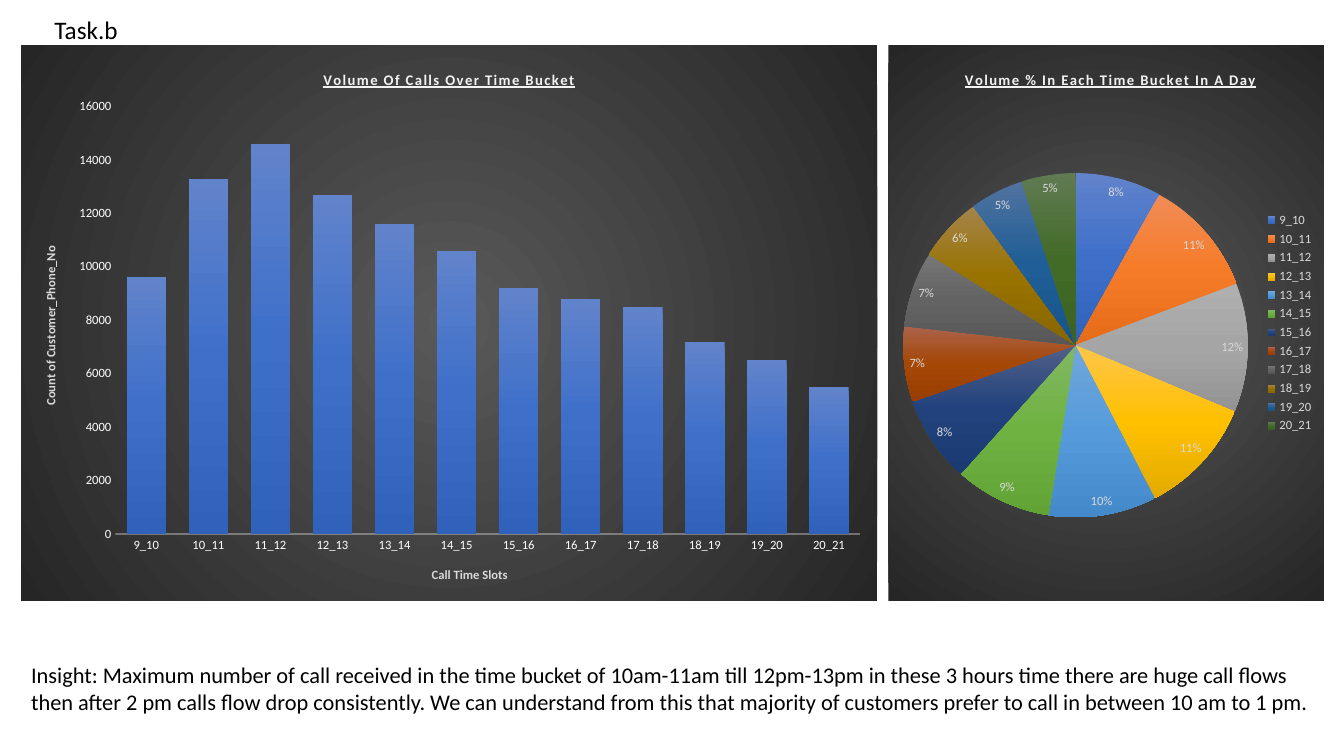
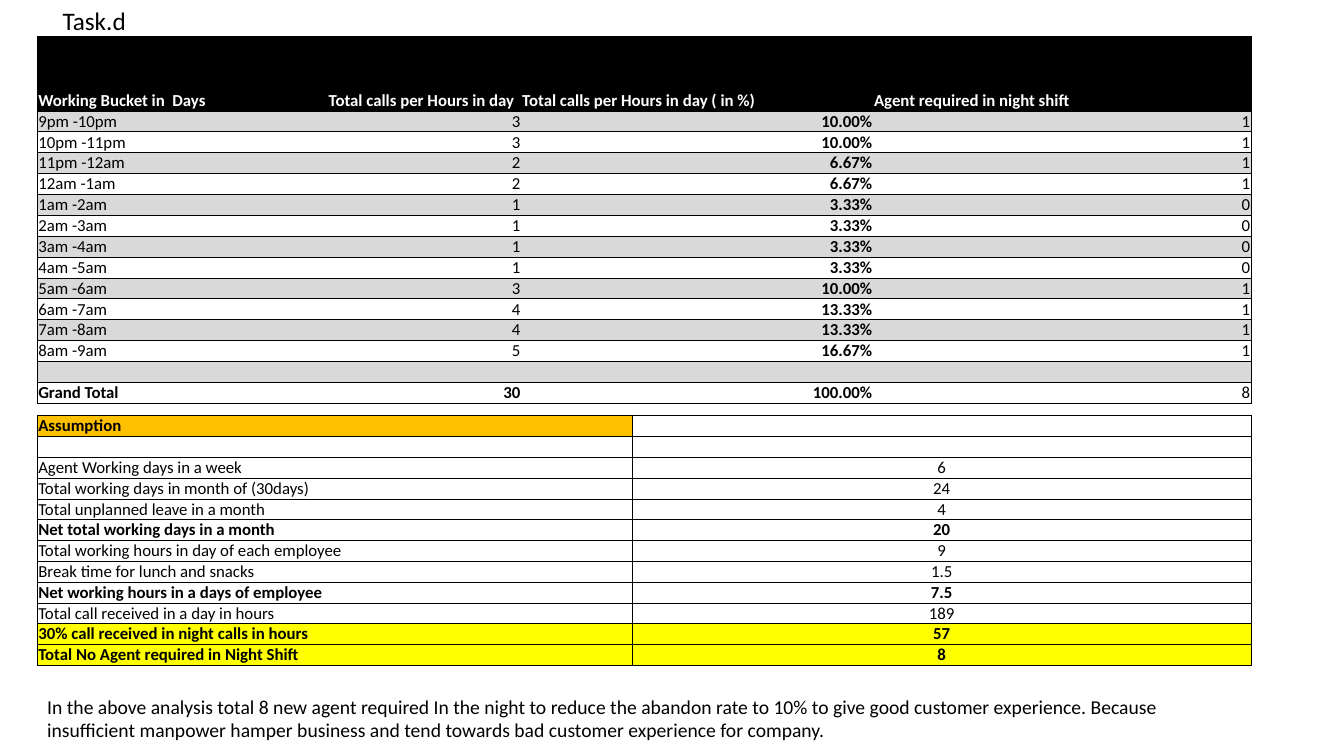
from lxml import etree
from pptx import Presentation
from pptx.chart.data import CategoryChartData
from pptx.dml.color import RGBColor
from pptx.enum import chart as ch, text
from pptx.oxml import parse_xml
from pptx.oxml.ns import nsdecls, qn
from pptx.util import Inches, Pt

FONT = "Calibri"
BLACK = RGBColor(0x00, 0x00, 0x00)
WHITE = RGBColor(0xFF, 0xFF, 0xFF)
OFF_WHITE = RGBColor(0xF2, 0xF2, 0xF2)
SILVER = RGBColor(0xD9, 0xD9, 0xD9)
AMBER = RGBColor(0xFF, 0xC0, 0x00)
YELLOW = RGBColor(0xFF, 0xFF, 0x00)
BACKDROP = ("595959", "262626")
SLICES = [
    ("6183CB", "3E70CA", "3062BB"), ("F18C57", "F67B28", "E56C19"),
    ("AFAFAF", "A5A5A5", "939393"), ("FFC64B", "FFC000", "E3AB00"),
    ("71A6DB", "559BDB", "448ACA"), ("81B861", "6FB242", "62A336"),
    ("516089", "22427D", "1A3A72"), ("AB634B", "A54707", "983E00"),
    ("777777", "636363", "585858"), ("A4844B", "997300", "886600"),
    ("51739F", "205E97", "17548B"), ("607B53", "436B28", "3B6220"),
]
NO_TABLE_STYLE = "{2D5ABB26-0587-4C30-8999-92F81FD0307C}"
LEFT, CENTER, RIGHT = text.PP_ALIGN.LEFT, text.PP_ALIGN.CENTER, text.PP_ALIGN.RIGHT


def set_font(font, size, color, bold=False):
    font.name, font.size, font.bold = FONT, Pt(size), bold
    font.color.rgb = color


def gradient(sp_pr, colors, direction='<a:lin ang="5400000" scaled="0"/>'):
    step = 100000 // (len(colors) - 1)
    stops = "".join(f'<a:gs pos="{i * step}"><a:srgbClr val="{c}"/></a:gs>'
                    for i, c in enumerate(colors))
    sp_pr.insert(0, parse_xml(f'<a:gradFill {nsdecls("a")} rotWithShape="1">'
                              f'<a:gsLst>{stops}</a:gsLst>{direction}</a:gradFill>'))


def place(parent, **fractions):
    for old in parent.findall(qn("c:layout")):
        parent.remove(old)
    inner = '<c:layoutTarget val="inner"/>' if "w" in fractions else ""
    modes = "".join(f'<c:{k}Mode val="edge"/>' for k in "xy")
    values = "".join(f'<c:{k} val="{v}"/>' for k, v in fractions.items())
    layout = parse_xml(f'<c:layout {nsdecls("c")}><c:manualLayout>{inner}{modes}{values}'
                       '</c:manualLayout></c:layout>')
    parent.insert(len(parent.findall(qn("c:tx"))), layout)


class Deck:
    def __init__(self):
        self.prs = Presentation()
        self.prs.slide_width, self.prs.slide_height = Inches(13.33), Inches(7.5)
        self.slide = None

    def add_slide(self, title, left, top, width):
        self.slide = self.prs.slides.add_slide(self.prs.slide_layouts[5])
        sp = self.slide.shapes.title
        sp.left, sp.top, sp.width, sp.height = map(Inches, (left, top, width, 0.4))
        self.fill_text(sp.text_frame, title, 18)

    def fill_text(self, tf, words, size):
        tf.word_wrap = True
        tf.auto_size = text.MSO_AUTO_SIZE.NONE
        tf.vertical_anchor = text.MSO_ANCHOR.TOP
        p = tf.paragraphs[0]
        p.text, p.alignment = words, LEFT
        set_font(p.font, size, BLACK)

    def note(self, at, words, size):
        sp = self.slide.shapes.add_textbox(*map(Inches, at))
        self.fill_text(sp.text_frame, words, size)

    def chart(self, kind, at, title, title_x, plot_at, categories, values):
        data = CategoryChartData()
        data.categories = categories
        data.add_series("Series 1", values)
        chart = self.slide.shapes.add_chart(kind, *map(Inches, at), data).chart
        set_font(chart.font, 10, BLACK)
        chart.has_legend = False
        chart.has_title = True
        p = chart.chart_title.text_frame.paragraphs[0]
        p.text = title
        set_font(p.font, 10.5, OFF_WHITE, True)
        p.font.underline = True
        p.font._element.set("spc", "100")
        root = chart._chartSpace
        place(root.chart.find(qn("c:title")), x=title_x, y=0.04)
        place(root.chart.plotArea, **dict(zip("xywh", plot_at)))
        sp_pr = parse_xml(f'<c:spPr {nsdecls("c", "a")}><a:ln><a:noFill/></a:ln></c:spPr>')
        gradient(sp_pr, BACKDROP, '<a:path path="circle"><a:fillToRect l="50000" t="50000" '
                                  'r="50000" b="50000"/></a:path>')
        root.chart.addnext(sp_pr)
        return chart

    def axis(self, axis, title):
        axis.has_major_gridlines = False
        axis.major_tick_mark = axis.minor_tick_mark = ch.XL_TICK_MARK.NONE
        set_font(axis.tick_labels.font, 9, WHITE)
        tf = axis.axis_title.text_frame
        p = tf.paragraphs[0]
        p.text = title
        set_font(p.font, 9, SILVER, True)
        return tf

    def column_chart(self, at, title, title_x, plot_at, categories, values, axis_titles):
        chart = self.chart(ch.XL_CHART_TYPE.COLUMN_CLUSTERED, at, title, title_x, plot_at,
                           categories, values)
        plot = chart.plots[0]
        plot.gap_width, plot.overlap, plot.vary_by_categories = 57, -24, False
        gradient(plot.series[0].format._element.get_or_add_spPr(), SLICES[0])
        self.axis(chart.category_axis, axis_titles[0])
        axis_format = chart.category_axis.format
        axis_format.line.width = Pt(1)
        axis_format.line.color.rgb = OFF_WHITE
        rgb = next(axis_format._element.get_or_add_spPr().iter(qn("a:srgbClr")))
        etree.SubElement(rgb, qn("a:alpha"), val="54000")
        value_axis = chart.value_axis
        tf = self.axis(value_axis, axis_titles[1])
        tf._txBody.bodyPr.set("rot", "-5400000")
        tf._txBody.bodyPr.set("vert", "horz")
        value_axis.minimum_scale, value_axis.maximum_scale = 0, 16000
        value_axis.major_unit = 2000
        value_axis.format.line.fill.background()

    def pie_chart(self, at, title, title_x, plot_at, categories, values):
        chart = self.chart(ch.XL_CHART_TYPE.PIE, at, title, title_x, plot_at,
                           categories, values)
        plot = chart.plots[0]
        plot.vary_by_categories = True
        for i, colors in enumerate(SLICES):
            gradient(plot.series[0].points[i].format._element.get_or_add_spPr(), colors)
        plot.has_data_labels = True
        labels = plot.data_labels
        labels.show_percentage, labels.show_value = True, False
        labels.number_format, labels.number_format_is_linked = "0%", False
        labels.position = ch.XL_LABEL_POSITION.BEST_FIT
        set_font(labels.font, 9, SILVER)
        chart.has_legend = True
        chart.legend.position = ch.XL_LEGEND_POSITION.RIGHT
        chart.legend.include_in_layout = False
        set_font(chart.legend.font, 9, SILVER)

    def table(self, at, widths, header_height, rows, style, inner_lines):
        frame = self.slide.shapes.add_table(len(rows), len(widths), *map(Inches, at))
        table = frame.table
        table.first_row = table.horz_banding = False
        table._tbl.tblPr.find(qn("a:tableStyleId")).text = NO_TABLE_STYLE
        for column, width in zip(table.columns, widths):
            column.width = Inches(width)
        row_height = (at[3] - header_height) / (len(rows) - 1)
        last = len(widths) - 1
        for r, values in enumerate(rows):
            table.rows[r].height = Inches(row_height if r else header_height)
            for c, value in enumerate(values):
                sides = ("L" if inner_lines or c == 0 else "") + \
                        ("R" if inner_lines or c == last else "") + "TB"
                self.cell(table.cell(r, c), value, sides, *style(r, c))

    def cell(self, cell, value, sides, fill, color, bold, align):
        tc_pr = cell._tc.get_or_add_tcPr()
        for side in sides:
            tc_pr.append(parse_xml(
                f'<a:ln{side} {nsdecls("a")} w="6350"><a:solidFill><a:srgbClr val="{BLACK}"/>'
                f'</a:solidFill></a:ln{side}>'))
        cell.fill.solid()
        cell.fill.fore_color.rgb = fill
        cell.margin_left = cell.margin_right = Inches(0.01)
        cell.margin_top = cell.margin_bottom = Inches(0)
        cell.vertical_anchor = text.MSO_ANCHOR.BOTTOM
        p = cell.text_frame.paragraphs[0]
        if value:
            p.text = value
        p.alignment = align
        set_font(p.font, 12, color, bold)


SLOTS = [f"{hour}_{hour + 1}" for hour in range(9, 21)]
CALLS = [9600, 13300, 14600, 12700, 11600, 10600, 9200, 8800, 8500, 7200, 6500, 5500]
SHARES = [8, 11, 12, 11, 10, 9, 8, 7, 7, 6, 5, 5]

NIGHT_SHIFT = [
    ("Working Bucket in  Days", "Total calls per Hours in day",
     "Total calls per Hours in day ( in %)", "Agent required in night shift"),
    ("9pm -10pm", "3", "10.00%", "1"),
    ("10pm -11pm", "3", "10.00%", "1"),
    ("11pm -12am", "2", "6.67%", "1"),
    ("12am -1am", "2", "6.67%", "1"),
    ("1am -2am", "1", "3.33%", "0"),
    ("2am -3am", "1", "3.33%", "0"),
    ("3am -4am", "1", "3.33%", "0"),
    ("4am -5am", "1", "3.33%", "0"),
    ("5am -6am", "3", "10.00%", "1"),
    ("6am -7am", "4", "13.33%", "1"),
    ("7am -8am", "4", "13.33%", "1"),
    ("8am -9am", "5", "16.67%", "1"),
    ("", "", "", ""),
    ("Grand Total", "30", "100.00%", "8"),
]
ASSUMPTIONS = [
    ("Assumption", ""),
    ("", ""),
    ("Agent Working days in a week", "6"),
    ("Total working days in month of (30days)", "24"),
    ("Total unplanned leave in a month", "4"),
    ("Net total working days in a month", "20"),
    ("Total working hours in day of each employee", "9"),
    ("Break time for lunch and snacks", "1.5"),
    ("Net working hours in a days of employee", "7.5"),
    ("Total call received in a day in hours", "189"),
    ("30% call received in night calls in hours", "57"),
    ("Total No Agent required in Night Shift", "8"),
]


def night_shift_style(r, c):
    if r == 0:
        return BLACK, WHITE, True, LEFT
    total = r == len(NIGHT_SHIFT) - 1
    return (SILVER if r % 2 else WHITE, BLACK, c == 2 or (total and c < 3),
            RIGHT if c else LEFT)


def assumption_style(r, c):
    fill = YELLOW if r >= 10 else AMBER if (r, c) == (0, 0) else WHITE
    return fill, BLACK, r in (0, 5, 8, 10, 11), CENTER if c else LEFT


def main():
    deck = Deck()

    deck.add_slide("Task.b", 0.44, 0.09, 2.07)
    deck.column_chart((0.21, 0.45, 8.49, 5.51), "Volume Of Calls Over Time Bucket", 0.35,
                      (0.11, 0.11, 0.87, 0.77), SLOTS, CALLS,
                      ("Call Time Slots", "Count of Customer_Phone_No"))
    deck.pie_chart((8.81, 0.45, 4.32, 5.51), "Volume % In Each Time Bucket In A Day", 0.17,
                   (0.03, 0.23, 0.8, 0.62), SLOTS, SHARES)
    deck.note((0.21, 6.51, 12.91, 0.64),
              "Insight: Maximum number of call received in the time bucket of 10am-11am till "
              "12pm-13pm in these 3 hours time there are huge call flows then after 2 pm calls "
              "flow drop consistently. We can understand from this that majority of customers "
              "prefer to call in between 10 am to 1 pm.", 16)

    deck.add_slide("Task.d", 0.52, 0, 1.72)
    deck.table((0.37, 0.36, 12.04, 3.64), (2.88, 1.92, 3.49, 3.75), 0.74, NIGHT_SHIFT,
               night_shift_style, False)
    deck.table((0.37, 4.12, 12.04, 2.48), (5.9, 6.14), 0.21, ASSUMPTIONS,
               assumption_style, True)
    deck.note((0.37, 6.84, 12.04, 0.57),
              "In the above analysis total 8 new agent required In the night to reduce the "
              "abandon rate to 10% to give good customer experience. Because insufficient "
              "manpower hamper business and tend towards bad customer experience for company.",
              14)

    deck.prs.save("out.pptx")


if __name__ == "__main__":
    main()
